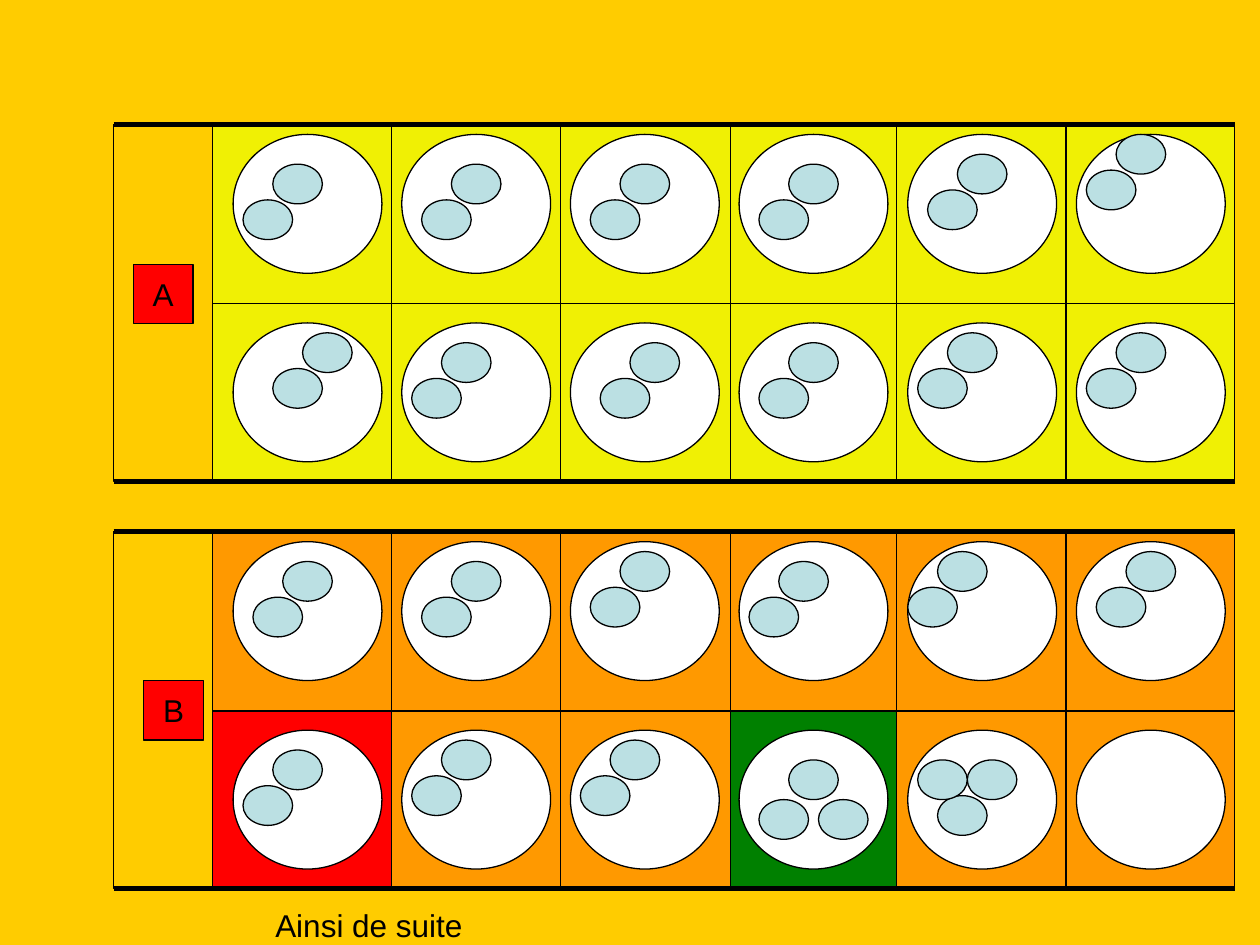
from dataclasses import dataclass
from itertools import pairwise

from lxml.etree import SubElement
from pptx import Presentation
from pptx.dml.color import RGBColor as Rgb
from pptx.enum.shapes import MSO_CONNECTOR as Link, MSO_SHAPE as Kind
from pptx.enum.text import MSO_ANCHOR as Anchor, PP_ALIGN as Align
from pptx.oxml.ns import qn
from pptx.util import Cm, Pt


@dataclass(frozen=True)
class Theme:
    back: str = "FFCC00"
    ink: str = "000000"
    yellow: str = "F0F004"
    orange: str = "FF9900"
    red: str = "FF0000"
    green: str = "008000"
    white: str = "FFFFFF"
    blue: str = "BBE0E3"
    font: str = "Arial"
    size: float = 18
    thin: float = 0.75
    rule: float = 1
    bold: float = 3


THEME = Theme()
LEFT = 2.29
COLS = (4.29, 7.9, 11.3, 14.73, 18.08, 21.49, 24.89)
HALF, FULL = 3.61, 7.19


def pair(x, y):
    return [(x, y), (x - 0.6, y + 0.72)]


DOTS_A = (
    (pair(0.8, 0.6), pair(1, 0.6), pair(1, 0.6),
     pair(1, 0.6), pair(1, 0.4), pair(0.8, 0)),
    (pair(1.4, 0.2), pair(0.8, 0.4), pair(1.2, 0.4),
     pair(1, 0.4), pair(0.8, 0.2), pair(0.8, 0.2)),
)
DOTS_B = (
    (pair(1, 0.4), pair(1, 0.4), pair(1, 0.2),
     pair(0.8, 0.4), pair(0.6, 0.2), pair(1, 0.2)),
    (pair(0.8, 0.4), pair(0.8, 0.2), pair(0.8, 0.2),
     [(1, 0.6), (0.4, 1.4), (1.6, 1.4)],
     pair(1.2, 0.6) + [(0.2, 0.6)], []),
)


def add_form(shapes, kind, x, y, w, h, fill=None):
    form = shapes.add_shape(kind, Cm(x), Cm(y), Cm(w), Cm(h))
    form.shadow.inherit = False
    if fill:
        form.fill.solid()
        form.fill.fore_color.rgb = Rgb.from_string(fill)
    else:
        form.fill.background()
    form.line.color.rgb = Rgb.from_string(THEME.ink)
    form.line.width = Pt(THEME.thin)
    return form


def add_rule(shapes, x, y, width):
    rule = shapes.add_connector(
        Link.STRAIGHT, Cm(x), Cm(y), Cm(COLS[-1]), Cm(y))
    rule.line.color.rgb = Rgb.from_string(THEME.ink)
    rule.line.width = Pt(width)
    SubElement(rule._element.spPr, qn("a:effectLst"))


def add_run(para, text):
    run = para.add_run()
    run.text = text
    run.font.name = THEME.font
    run.font.size = Pt(THEME.size)
    run.font.color.rgb = Rgb.from_string(THEME.ink)


def add_label(shapes, x, y, text):
    frame = add_form(shapes, Kind.RECTANGLE, x, y, 1.2, 1.2, THEME.red).text_frame
    frame.word_wrap = False
    frame.vertical_anchor = Anchor.MIDDLE
    para = frame.paragraphs[0]
    para.alignment = Align.CENTER
    add_run(para, text)


def add_note(shapes, x, y, w, h, text):
    frame = shapes.add_textbox(Cm(x), Cm(y), Cm(w), Cm(h)).text_frame
    frame.word_wrap = True
    para = frame.paragraphs[0]
    para.space_before = Pt(11.2)
    add_run(para, text)


def add_panel(shapes, top, fill, dots, marks):
    group = shapes.add_group_shape().shapes
    for row, (y, h) in enumerate(((top, HALF), (top + HALF, FULL - HALF))):
        for col, (x, end) in enumerate(pairwise(COLS)):
            add_form(group, Kind.RECTANGLE, x, y, end - x, h,
                     marks.get((row, col), fill))
    add_form(group, Kind.RECTANGLE, LEFT, top, COLS[0] - LEFT, FULL)
    add_rule(group, LEFT, top, THEME.bold)
    add_rule(group, LEFT, top + FULL, THEME.bold)
    add_rule(group, COLS[0], top + HALF, THEME.rule)
    for row, cells in enumerate(dots):
        for col, spots in enumerate(cells):
            x, y = 4.7 + 3.4 * col, top + 0.2 + 3.8 * row
            add_form(group, Kind.OVAL, x, y, 3, 2.8, THEME.white)
            for dx, dy in spots:
                add_form(group, Kind.OVAL, x + dx, y + dy, 1, 0.8, THEME.blue)


def main():
    deck = Presentation()
    deck.slide_width, deck.slide_height = Cm(25.4), Cm(19.05)
    slide = deck.slides.add_slide(deck.slide_layouts[6])
    slide.background.fill.solid()
    slide.background.fill.fore_color.rgb = Rgb.from_string(THEME.back)
    shapes = slide.shapes
    add_panel(shapes, 2.51, THEME.yellow, DOTS_A, {})
    add_panel(shapes, 10.72, THEME.orange, DOTS_B,
              {(1, 0): THEME.red, (1, 3): THEME.green})
    add_label(shapes, 2.69, 5.33, "A")
    add_label(shapes, 2.9, 13.72, "B")
    add_note(shapes, 5.3, 18.14, 6.2, 1.02, "Ainsi de suite")
    deck.save("out.pptx")


if __name__ == "__main__":
    main()
